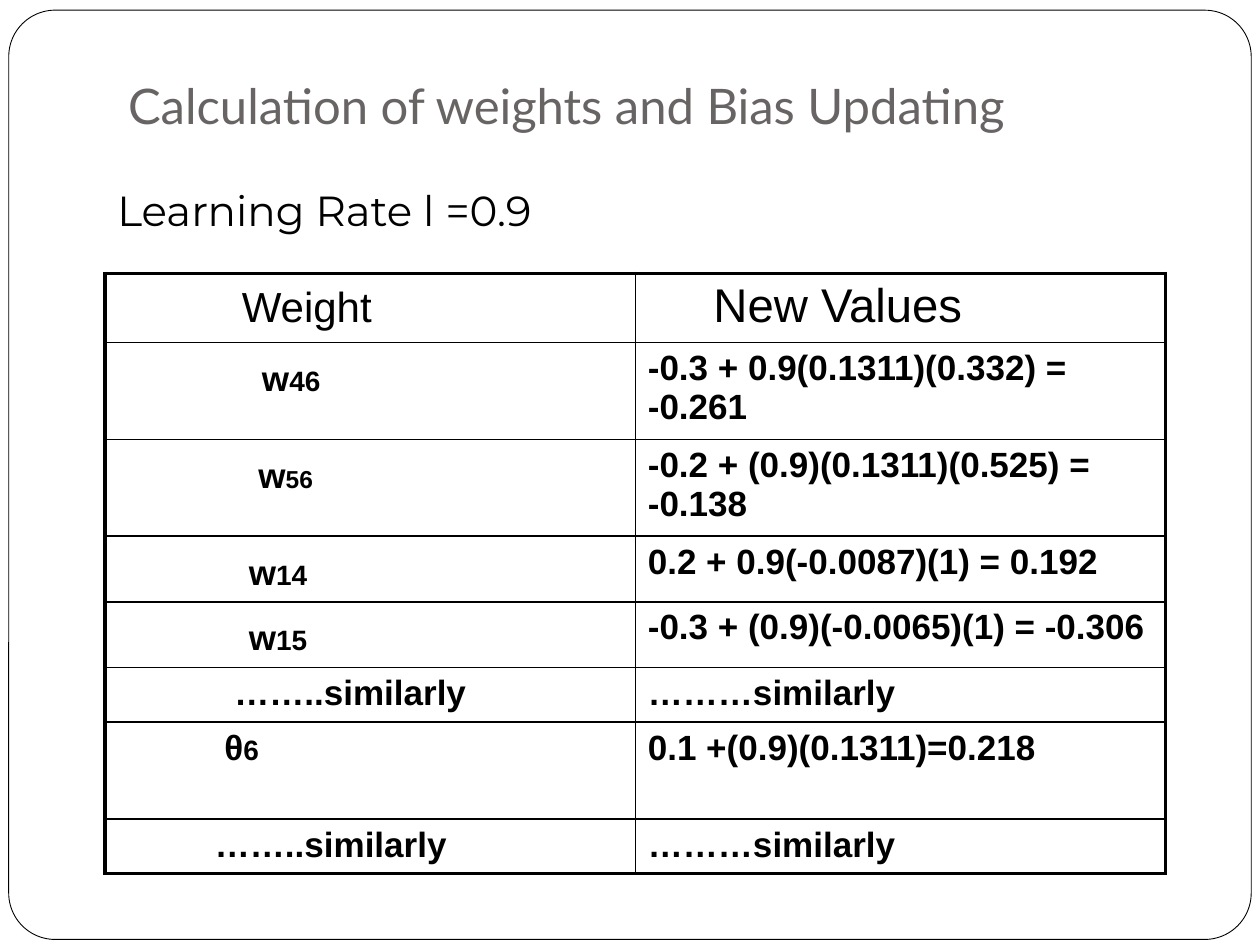
from pptx import Presentation
from pptx.dml.color import RGBColor
from pptx.enum.shapes import MSO_SHAPE
from pptx.enum.text import MSO_ANCHOR, PP_ALIGN
from pptx.oxml.ns import qn
from pptx.util import Pt
from lxml import etree

ROUNDED = MSO_SHAPE.ROUNDED_RECTANGLE
BOTTOM, TOP = MSO_ANCHOR.BOTTOM, MSO_ANCHOR.TOP
LEFT = PP_ALIGN.LEFT

BLACK = RGBColor(0x00, 0x00, 0x00)
GREY = RGBColor(0x69, 0x64, 0x64)

THIN, THICK = 1, 2.25
PADDING = 3.6
TABLE_BOX = (60, 156.2, 606, 330.8)

HEAD = {"size": Pt(27), "bold": False}
SUBHEAD = {"size": Pt(24), "bold": False}
BODY = {"size": Pt(20), "bold": True}
SUB = {"size": Pt(16), "bold": True}
SMALL_SUB = {"size": Pt(14), "bold": True}

# Each row: height, then the two cells as (indent, drop, runs)
ROWS = [
    (37.4, (71, 2.7, [("Weight", SUBHEAD)]),
     (37.5, 0, [("New Values", HEAD)])),
    (52, (82.5, 6.3, [("w", BODY), ("46", SUB)]),
     (0, 0, [("-0.3 + 0.9(0.1311)(0.332) = -0.261", BODY)])),
    (52, (80.5, 6.3, [("w", BODY), ("56", SMALL_SUB)]),
     (0, 0, [("-0.2 + (0.9)(0.1311)(0.525) = -0.138", BODY)])),
    (37.4, (75, 6.3, [("w", BODY), ("14", SUB)]),
     (0, 0, [("0.2 + 0.9(-0.0087)(1) = 0.192", BODY)])),
    (37.4, (75, 6.3, [("w", BODY), ("15", SUB)]),
     (0, 0, [("-0.3 + (0.9)(-0.0065)(1) = -0.306", BODY)])),
    (29.6, (66.7, 0, [("……..similarly", BODY)]),
     (0, 0, [("………similarly", BODY)])),
    (55.4, (61, 0, [("θ", BODY), ("6", SUB)]),
     (0, 0, [("0.1 +(0.9)(0.1311)=0.218", BODY)])),
    (29.6, (55.6, 0, [("……..similarly", BODY)]),
     (0, 0, [("………similarly", BODY)])),
]


def add_run(p, text, font, color, fmt):
    r = p.add_run()
    r.text = text
    r.font.name = font
    r.font.color.rgb = color
    for name, value in fmt.items():
        setattr(r.font, name, value)


def add_frame(s):
    sp = s.shapes.add_shape(ROUNDED, Pt(5), Pt(5.8), Pt(710), Pt(531))
    sp.adjustments[0] = 0.05
    sp.shadow.inherit = False
    sp.fill.background()
    sp.line.color.rgb = BLACK
    sp.line.width = Pt(0.5)


def set_heading(sp, box, text, font, color, size, inset_bottom):
    sp.left, sp.top, sp.width, sp.height = (Pt(v) for v in box)
    tf = sp.text_frame
    settings = {"word_wrap": True, "vertical_anchor": BOTTOM,
                "margin_left": Pt(7.2), "margin_right": Pt(7.2),
                "margin_top": Pt(3.6), "margin_bottom": Pt(inset_bottom)}
    for name, value in settings.items():
        setattr(tf, name, value)
    p = tf.paragraphs[0]
    p.alignment = LEFT
    add_run(p, text, font, color, {"size": Pt(size), "bold": False})


def set_borders(cell, widths):
    """Draw solid black borders, widths given as left, right, top, bottom."""
    tc_pr = cell._tc.get_or_add_tcPr()
    for tag, width in zip(("a:lnL", "a:lnR", "a:lnT", "a:lnB"), widths):
        ln = etree.SubElement(tc_pr, qn(tag), w=str(int(Pt(width))))
        fill = etree.SubElement(ln, qn("a:solidFill"))
        etree.SubElement(fill, qn("a:srgbClr"), val=str(BLACK))


def fill_cell(cell, indent, drop, runs, widths):
    """Write a cell; indent and drop shift its text right and down."""
    set_borders(cell, widths)
    cell.fill.background()
    cell.vertical_anchor = TOP
    cell.margin_left = Pt(7.2 + indent)
    cell.margin_right = Pt(7.2)
    cell.margin_top = Pt(PADDING + drop)
    cell.margin_bottom = Pt(PADDING)
    p = cell.text_frame.paragraphs[0]
    p.alignment = LEFT
    for text, fmt in runs:
        add_run(p, text, "Arial", BLACK, fmt)


def add_weight_table(s):
    table = s.shapes.add_table(len(ROWS), 2, *(Pt(v) for v in TABLE_BOX)).table
    table.first_row = table.horz_banding = False
    last = len(ROWS) - 1
    for i, (height, *cells) in enumerate(ROWS):
        table.rows[i].height = Pt(height)
        for j, (indent, drop, runs) in enumerate(cells):
            outer = (j == 0, j == 1, i == 0, i == last)
            widths = [THICK if edge else THIN for edge in outer]
            fill_cell(table.cell(i, j), indent, drop, runs, widths)


def main():
    prs = Presentation()
    prs.slide_width, prs.slide_height = Pt(720), Pt(540)
    s = prs.slides.add_slide(prs.slide_layouts[5])
    add_frame(s)
    set_heading(s.shapes.title, (66, 18, 606, 66),
                "Calculation of weights and Bias Updating",
                "Lato", GREY, 28, 7.2)
    rate = s.shapes.add_textbox(0, 0, 0, 0)
    set_heading(rate, (60, 78, 606, 60), "Learning Rate l =0.9",
                "Montserrat", BLACK, 24, 3.6)
    add_weight_table(s)
    prs.save("out.pptx")


if __name__ == "__main__":
    main()
